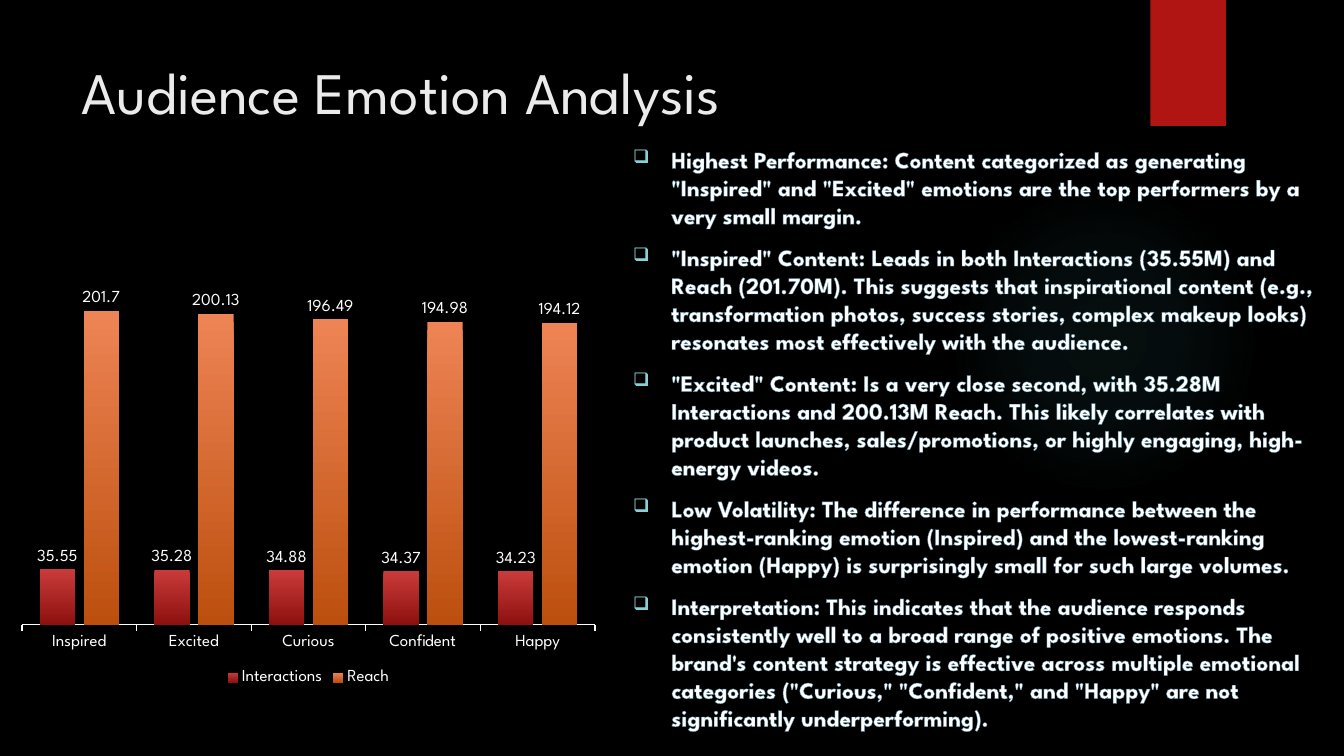
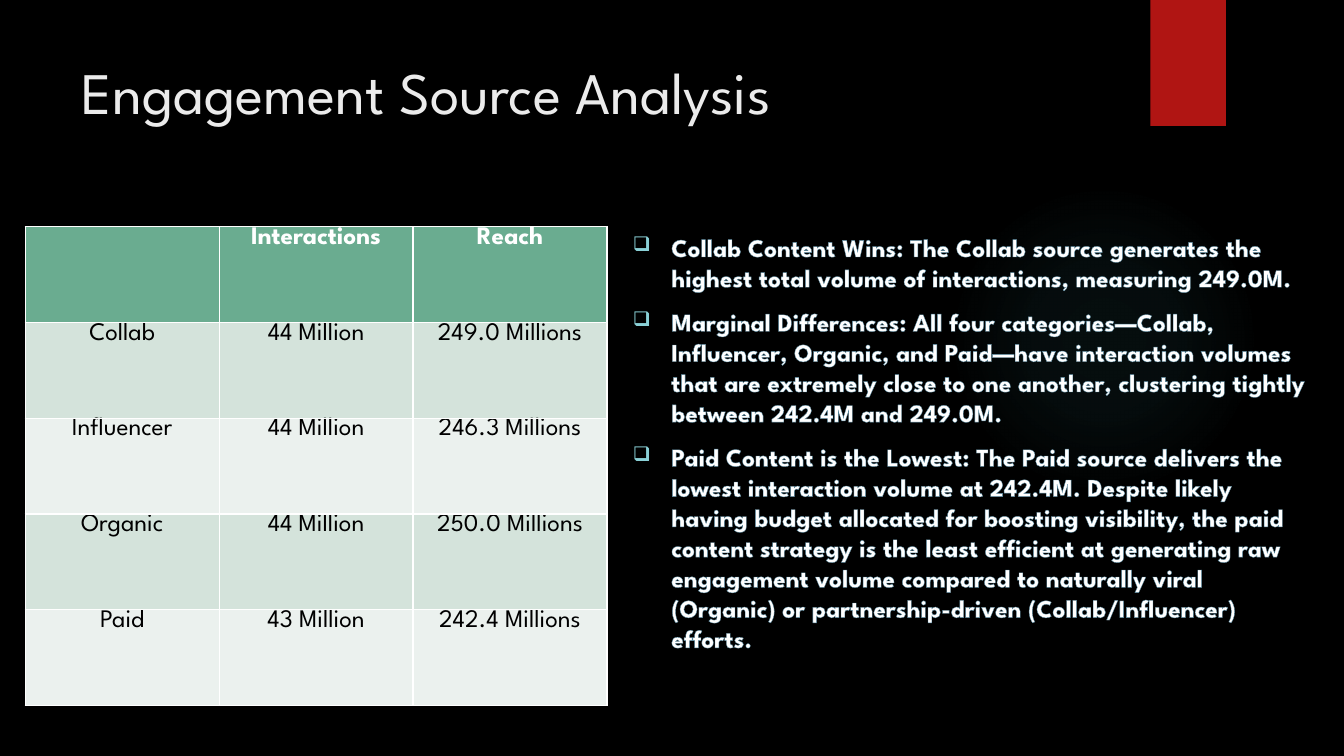
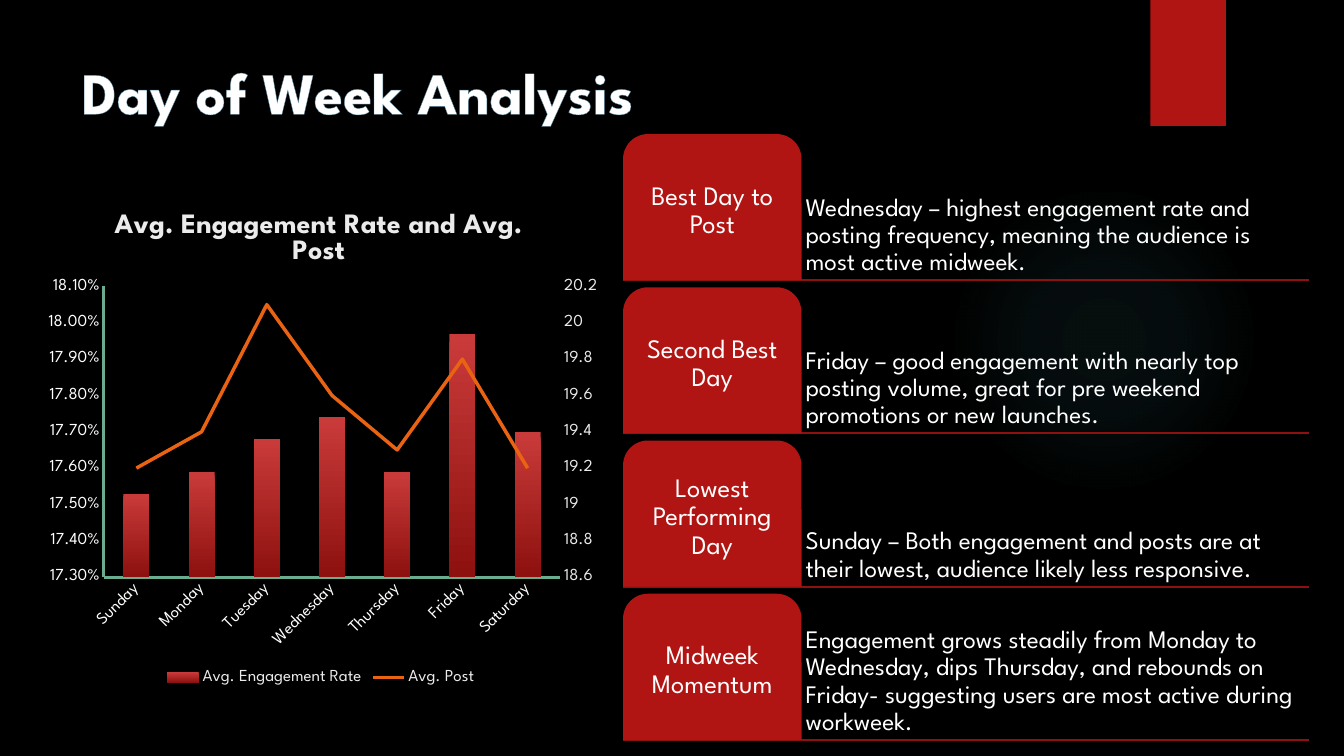
from pptx import Presentation
from pptx.chart.axis import ValueAxis
from pptx.chart.data import CategoryChartData
from pptx.dml.color import RGBColor
from pptx.enum.chart import XL_CHART_TYPE as ChartType
from pptx.enum.chart import XL_LABEL_POSITION as LabelPosition
from pptx.enum.chart import XL_LEGEND_POSITION as LegendPosition
from pptx.enum.chart import XL_MARKER_STYLE as MarkerStyle
from pptx.enum.chart import XL_TICK_MARK as TickMark
from pptx.enum.shapes import MSO_CONNECTOR as Connector
from pptx.enum.shapes import MSO_SHAPE as Shape
from pptx.enum.text import MSO_ANCHOR as Anchor
from pptx.enum.text import PP_ALIGN as Align
from pptx.oxml import parse_xml
from pptx.oxml.ns import nsdecls
from pptx.util import Inches, Pt

FONT = "League Spartan"
WHITE, SOFT, BLACK = "FFFFFF", "EBEBEB", "000000"
RED, DARK_RED, ORANGE, GREEN = "B01513", "8D110F", "EA6312", "6AAC90"
GLOW, BULLET, OUTLINE = "50B9C1", "8AD0D6", "54849A"
ROW_FILLS = ["D4E3DB", "EBF1EE"]
RED_RAMP = ["C93B3A", DARK_RED]
ORANGE_RAMP = ["EE8455", "BC4F0E"]
INSET = Inches(0.04)
CARD_MARGINS = {"margin_left": INSET, "margin_right": INSET,
                "margin_top": INSET, "margin_bottom": INSET}

EMOTIONS = ["Inspired", "Excited", "Curious", "Confident", "Happy"]
EMOTION_SERIES = {
    "Interactions": [35.55, 35.28, 34.88, 34.37, 34.23],
    "Reach": [201.7, 200.13, 196.49, 194.98, 194.12],
}
EMOTION_POINTS = [
    'Highest Performance: Content categorized as generating "Inspired" and "Excited" emotions '
    'are the top performers by a very small margin.',
    '"Inspired" Content: Leads in both Interactions (35.55M) and Reach (201.70M). This suggests '
    'that inspirational content (e.g., transformation photos, success stories, complex makeup '
    'looks) resonates most effectively with the audience.',
    '"Excited" Content: Is a very close second, with 35.28M Interactions and 200.13M Reach. This '
    'likely correlates with product launches, sales/promotions, or highly engaging, high-energy '
    'videos.',
    'Low Volatility: The difference in performance between the highest-ranking emotion '
    '(Inspired) and the lowest-ranking emotion (Happy) is surprisingly small for such large '
    'volumes.',
    'Interpretation: This indicates that the audience responds consistently well to a broad '
    'range of positive emotions. The brand\'s content strategy is effective across multiple '
    'emotional categories ("Curious," "Confident," and "Happy" are not significantly '
    'underperforming).',
]
SOURCE_ROWS = [
    ["", "Interactions", "Reach"],
    ["Collab", "44 Million", "249.0 Millions"],
    ["Influencer", "44 Million", "246.3 Millions"],
    ["Organic", "44 Million", "250.0 Millions"],
    ["Paid", "43 Million", "242.4 Millions"],
]
SOURCE_POINTS = [
    "Collab Content Wins: The Collab source generates the highest total volume of interactions, "
    "measuring 249.0M.",
    "Marginal Differences: All four categories—Collab, Influencer, Organic, and Paid—have "
    "interaction volumes that are extremely close to one another, clustering tightly between "
    "242.4M and 249.0M.",
    "Paid Content is the Lowest: The Paid source delivers the lowest interaction volume at "
    "242.4M. Despite likely having budget allocated for boosting visibility, the paid content "
    "strategy is the least efficient at generating raw engagement volume compared to naturally "
    "viral (Organic) or partnership-driven (Collab/Influencer) efforts.",
]
DAYS = ["Sunday", "Monday", "Tuesday", "Wednesday", "Thursday", "Friday", "Saturday"]
DAY_SERIES = {
    "Avg. Engagement Rate": [0.1753, 0.1759, 0.1768, 0.1774, 0.1759, 0.1797, 0.177],
    "Avg. Post": [19.2, 19.4, 20.1, 19.6, 19.3, 19.8, 19.2],
}
DAY_CARDS = [
    ("Best Day to Post", "Wednesday – highest engagement rate and posting frequency, meaning "
     "the audience is most active midweek."),
    ("Second Best Day", "Friday – good engagement with nearly top posting volume, great for pre "
     "weekend promotions or new launches."),
    ("Lowest Performing Day", "Sunday – Both engagement and posts are at their lowest, audience "
     "likely less responsive."),
    ("Midweek Momentum", "Engagement grows steadily from Monday to Wednesday, dips Thursday, and "
     "rebounds on Friday- suggesting users are most active during workweek."),
]


def color(code):
    return RGBColor.from_string(code)


def assign(target, **values):
    for name, value in values.items():
        setattr(target, name, value)


def inches(*lengths):
    return [Inches(length) for length in lengths]


def paint(fill, code):
    fill.solid()
    fill.fore_color.rgb = color(code)


def drop(parent, tag):
    for child in parent.findall("{*}" + tag):
        parent.remove(child)


def style_font(font, size, code=WHITE, bold=False):
    assign(font, name=FONT, size=Pt(size), bold=bold)
    paint(font.fill, code)


def write(para, text, size, code=WHITE, bold=False, outlined=False, **layout):
    assign(para, **layout)
    span = para.add_run()
    span.text = text
    style_font(span.font, size, code, bold)
    if outlined:
        span.font._element.insert(0, parse_xml(
            f'<a:ln {nsdecls("a")} w="{Pt(0.8)}"><a:solidFill><a:srgbClr val="{OUTLINE}"/>'
            '</a:solidFill></a:ln>'))


def add_panel(page, preset, box, code=RED):
    panel = page.shapes.add_shape(preset, *inches(*box))
    panel.shadow.inherit = False
    paint(panel.fill, code)
    panel.line.fill.background()
    return panel


def add_glow(page, box):
    glow = page.shapes.add_shape(Shape.OVAL, *inches(*box))
    glow.shadow.inherit = False
    glow.line.fill.background()
    stops = "".join(
        f'<a:gs pos="{place}000"><a:srgbClr val="{GLOW}"><a:alpha val="{alpha}000"/>'
        '</a:srgbClr></a:gs>' for place, alpha in [(0, 7), (36, 6), (69, 0)])
    glow._element.spPr.insert(2, parse_xml(
        f'<a:gradFill {nsdecls("a")}><a:gsLst>{stops}</a:gsLst><a:path path="circle">'
        '<a:fillToRect l="50000" t="50000" r="50000" b="50000"/></a:path></a:gradFill>'))


def add_page(deck, title, **title_style):
    page = deck.slides.add_slide(deck.slide_layouts[5])
    add_glow(page, (9.41, 1.83, 3.08, 3.08))
    add_panel(page, Shape.RECTANGLE, (11.41, 0, 0.75, 1.25))
    holder = page.shapes.title
    left, top, width, height = inches(0.71, 0.5, 10.29, 1.53)
    assign(holder, left=left, top=top, width=width, height=height)
    assign(holder.text_frame, vertical_anchor=Anchor.TOP, word_wrap=True)
    write(holder.text_frame.paragraphs[0], title, 42, alignment=Align.LEFT, **title_style)
    return page


def add_points(page, box, points, size):
    frame = page.shapes.add_textbox(*inches(*box)).text_frame
    frame.word_wrap = True
    for index, point in enumerate(points):
        para = frame.add_paragraph() if index else frame.paragraphs[0]
        write(para, point, size, bold=True, outlined=True, space_before=Pt(10))
        properties = para._p.get_or_add_pPr()
        properties.set("marL", str(Inches(0.38)))
        properties.set("indent", str(Inches(-0.38)))
        for bullet in (f'<a:buClr {nsdecls("a")}><a:srgbClr val="{BULLET}"/></a:buClr>',
                       f'<a:buSzPct {nsdecls("a")} val="80000"/>',
                       f'<a:buChar {nsdecls("a")} char="❑"/>'):
            properties.append(parse_xml(bullet))


def manual_layout(x, y, width=None, height=None, inner=False):
    parts = '<c:layoutTarget val="inner"/>' if inner else ""
    parts += '<c:xMode val="edge"/><c:yMode val="edge"/>'
    for tag, value in zip("xywh", (x, y, width, height)):
        if value is not None:
            parts += f'<c:{tag} val="{value}"/>'
    return parse_xml(
        f'<c:layout {nsdecls("c")}><c:manualLayout>{parts}</c:manualLayout></c:layout>')


def add_column_chart(page, box, categories, series, plot_box, gap, overlap, legend_code):
    data = CategoryChartData()
    data.categories = categories
    for name, values in series.items():
        data.add_series(name, values)
    chart = page.shapes.add_chart(ChartType.COLUMN_CLUSTERED, *inches(*box), data).chart
    style_font(chart.font, 10)
    assign(chart, has_title=False, has_legend=True)
    assign(chart.legend, position=LegendPosition.BOTTOM, include_in_layout=False)
    style_font(chart.legend.font, 12, legend_code)
    assign(chart.plots[0], gap_width=gap, overlap=overlap, vary_by_categories=False)
    area = chart._chartSpace.chart.plotArea
    drop(area, "layout")
    area.insert(0, manual_layout(*plot_box, inner=True))
    return chart


def ramp(series, codes):
    fill = series.format.fill
    fill.gradient()
    fill.gradient_angle = 270
    for stop, code in zip(fill.gradient_stops, codes):
        stop.color.rgb = color(code)


def style_axis(axis, tick, line_code=None, line_width=1, code=WHITE, **scale):
    assign(axis, major_tick_mark=tick, minor_tick_mark=TickMark.NONE,
           has_major_gridlines=False, **scale)
    style_font(axis.tick_labels.font, 12, code)
    if line_code:
        paint(axis.format.line.fill, line_code)
        axis.format.line.width = Pt(line_width)
    else:
        axis.format.line.fill.background()


def add_emotion_chart(page, box):
    chart = add_column_chart(page, box, EMOTIONS, EMOTION_SERIES, (0.02, 0.02, 0.96, 0.84),
                             100, -24, WHITE)
    style_axis(chart.category_axis, TickMark.OUTSIDE, WHITE)
    assign(chart.value_axis, visible=False, has_major_gridlines=False,
           minimum_scale=0, maximum_scale=250)
    for series, codes in zip(chart.plots[0].series, (RED_RAMP, ORANGE_RAMP)):
        ramp(series, codes)
        assign(series.data_labels, show_value=True, position=LabelPosition.OUTSIDE_END)
        style_font(series.data_labels.font, 12)


def move_to_right_axis(chart, series):
    area = chart._chartSpace.chart.plotArea
    source = series._element
    drop(source, "invertIfNegative")
    lines = parse_xml(
        f'<c:lineChart {nsdecls("c")}><c:grouping val="standard"/><c:varyColors val="0"/>'
        '<c:marker val="1"/><c:axId val="5001"/><c:axId val="5002"/></c:lineChart>')
    lines.insert(2, source)
    area.find("{*}barChart").addnext(lines)
    axes = {}
    for tag, number, cross, side, hidden, crossing in (
            ("catAx", 5001, 5002, "b", 1, "autoZero"), ("valAx", 5002, 5001, "r", 0, "max")):
        axes[tag] = parse_xml(
            f'<c:{tag} {nsdecls("c")}><c:axId val="{number}"/><c:scaling>'
            f'<c:orientation val="minMax"/></c:scaling><c:delete val="{hidden}"/>'
            f'<c:axPos val="{side}"/><c:numFmt formatCode="General" sourceLinked="0"/>'
            f'<c:tickLblPos val="nextTo"/><c:crossAx val="{cross}"/>'
            f'<c:crosses val="{crossing}"/></c:{tag}>')
    area.findall("{*}valAx")[-1].addnext(axes["catAx"])
    axes["catAx"].addnext(axes["valAx"])
    return ValueAxis(axes["valAx"])


def add_day_chart(page, box):
    chart = add_column_chart(page, box, DAYS, DAY_SERIES, (0.12, 0.21, 0.8, 0.57),
                             150, 0, SOFT)
    write(chart.chart_title.text_frame.paragraphs[0], "Avg. Engagement Rate and Avg. Post",
          20, SOFT, True)
    title = chart._chartSpace.chart.find("{*}title")
    drop(title, "layout")
    title.find("{*}tx").addnext(manual_layout(0.13, 0.05))
    style_axis(chart.category_axis, TickMark.NONE, GREEN, 2.25)
    chart.category_axis._element.find("{*}txPr").find("{*}bodyPr").set("rot", "-2700000")
    style_axis(chart.value_axis, TickMark.NONE, GREEN, 2.25,
               minimum_scale=0.173, maximum_scale=0.181, major_unit=0.001)
    assign(chart.value_axis.tick_labels, number_format="0.00%", number_format_is_linked=False)
    rate, posts = chart.plots[0].series
    ramp(rate, RED_RAMP)
    right_axis = move_to_right_axis(chart, posts)
    style_axis(right_axis, TickMark.NONE, code=SOFT,
               minimum_scale=18.6, maximum_scale=20.2, major_unit=0.2)
    posts = chart.plots[1].series[0]
    posts.smooth = False
    posts.marker.style = MarkerStyle.NONE
    paint(posts.format.line.fill, ORANGE)
    posts.format.line.width = Pt(2.5)


def border_cell(cell, sides):
    properties = cell._tc.get_or_add_tcPr()
    for index, side in enumerate(sides):
        properties.insert(index, parse_xml(
            f'<a:ln{side} {nsdecls("a")} w="{Pt(1)}"><a:solidFill><a:srgbClr val="{WHITE}"/>'
            f'</a:solidFill></a:ln{side}>'))


def add_source_table(page, box):
    table = page.shapes.add_table(len(SOURCE_ROWS), len(SOURCE_ROWS[0]), *inches(*box)).table
    for row, texts in enumerate(SOURCE_ROWS):
        for column, text in enumerate(texts):
            cell = table.cell(row, column)
            assign(cell, margin_top=0, margin_bottom=0)
            paint(cell.fill, ROW_FILLS[(row - 1) % 2] if row else GREEN)
            if row:
                border_cell(cell, "LRB")
            if text:
                write(cell.text_frame.paragraphs[0], text, 18, BLACK if row else WHITE,
                      bold=row == 0, alignment=Align.CENTER)


def add_card(page, box, label, detail):
    left, top, width, height = box
    tab_width = 1.77
    rule = page.shapes.add_connector(
        Connector.STRAIGHT, *inches(left, top + height, left + width, top + height))
    paint(rule.line.fill, DARK_RED)
    rule.line.width = Pt(1.5)
    rule._element.spPr.append(parse_xml(f'<a:effectLst {nsdecls("a")}/>'))
    note = page.shapes.add_textbox(*inches(left + tab_width, top, width - tab_width, height))
    tab = add_panel(page, Shape.ROUND_2_SAME_RECTANGLE, (left, top, tab_width, height))
    tab.adjustments[0] = 0.17
    tab.adjustments[1] = 0
    for shape, text, size, anchor, align in (
            (note, detail, 18, Anchor.BOTTOM, Align.LEFT),
            (tab, label, 19, Anchor.MIDDLE, Align.CENTER)):
        frame = shape.text_frame
        assign(frame, word_wrap=True, vertical_anchor=anchor, **CARD_MARGINS)
        write(frame.paragraphs[0], text, size, alignment=align, line_spacing=0.9)


def add_cards(page, box, cards):
    left, top, width, height = box
    gap = 0.07
    card_height = (height - gap * (len(cards) - 1)) / len(cards)
    for index, (label, detail) in enumerate(cards):
        card_top = top + index * (card_height + gap)
        add_card(page, (left, card_top, width, card_height), label, detail)


def main():
    deck = Presentation()
    assign(deck, slide_width=Inches(13.33), slide_height=Inches(7.5))
    paint(deck.slide_master.background.fill, BLACK)

    emotions = add_page(deck, "Audience Emotion Analysis", code=SOFT)
    add_points(emotions, (6.18, 1.39, 7.05, 6.11), EMOTION_POINTS, 16.6)
    add_emotion_chart(emotions, (0.1, 2.25, 5.92, 4.59))

    sources = add_page(deck, "Engagement Source Analysis", code=SOFT)
    add_points(sources, (6.18, 2.25, 6.9, 4.59), SOURCE_POINTS, 18)
    add_source_table(sources, (0.25, 2.25, 5.77, 4.75))

    days = add_page(deck, "Day of Week Analysis", bold=True, outlined=True)
    add_day_chart(days, (0.35, 1.78, 5.66, 5.06))
    add_cards(days, (6.18, 1.33, 6.8, 6.01), DAY_CARDS)

    deck.save("out.pptx")


if __name__ == "__main__":
    main()
